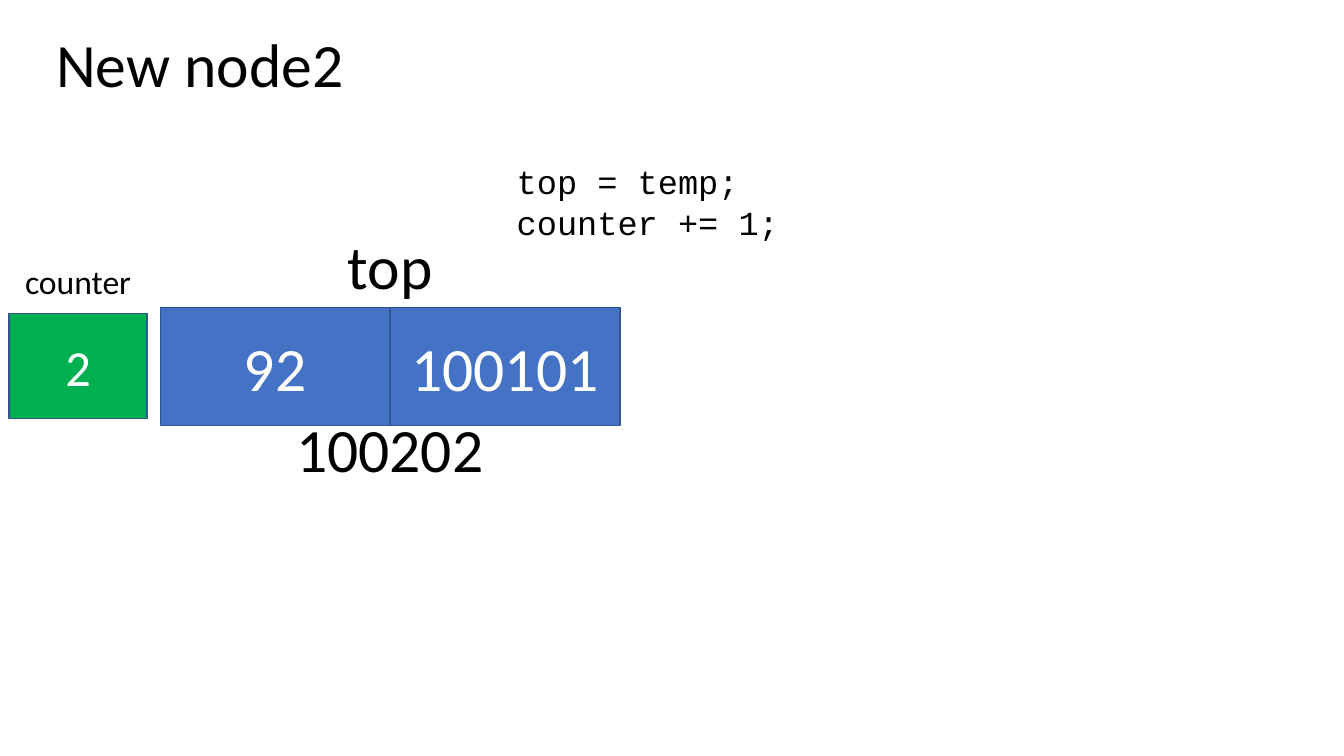
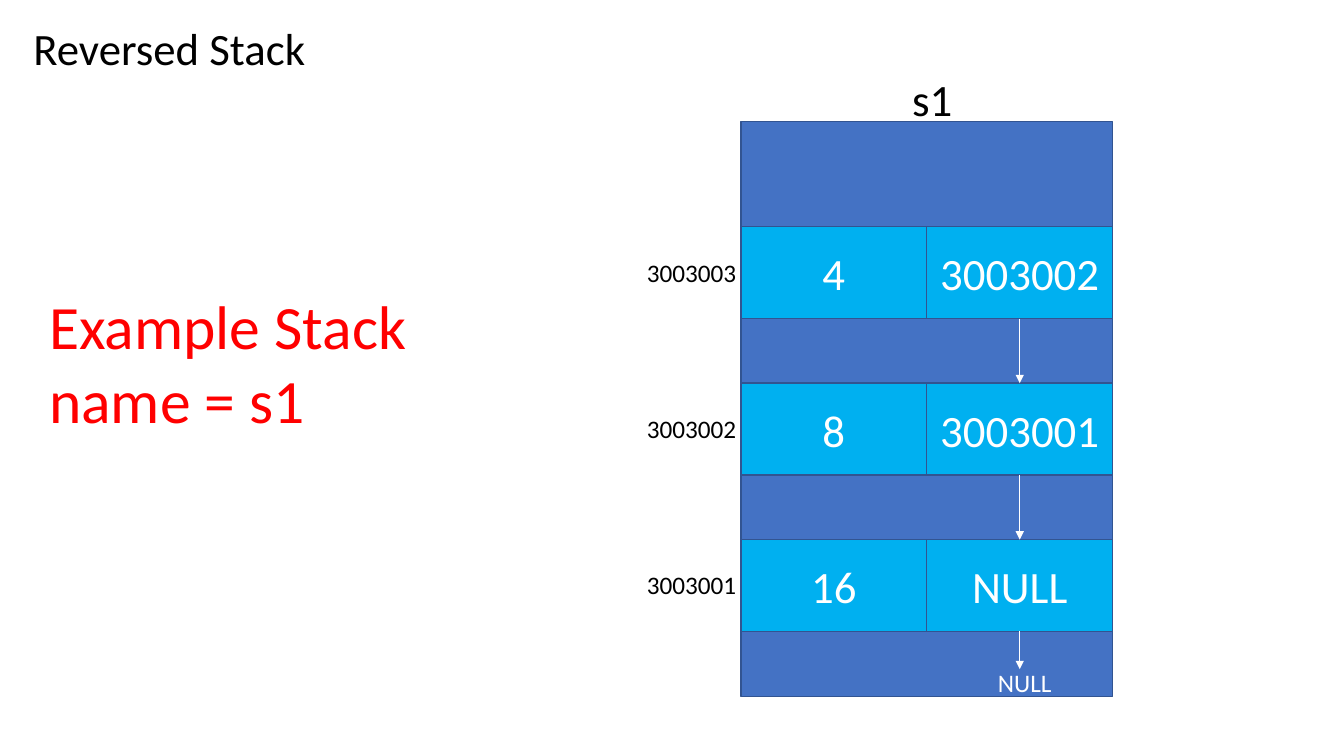
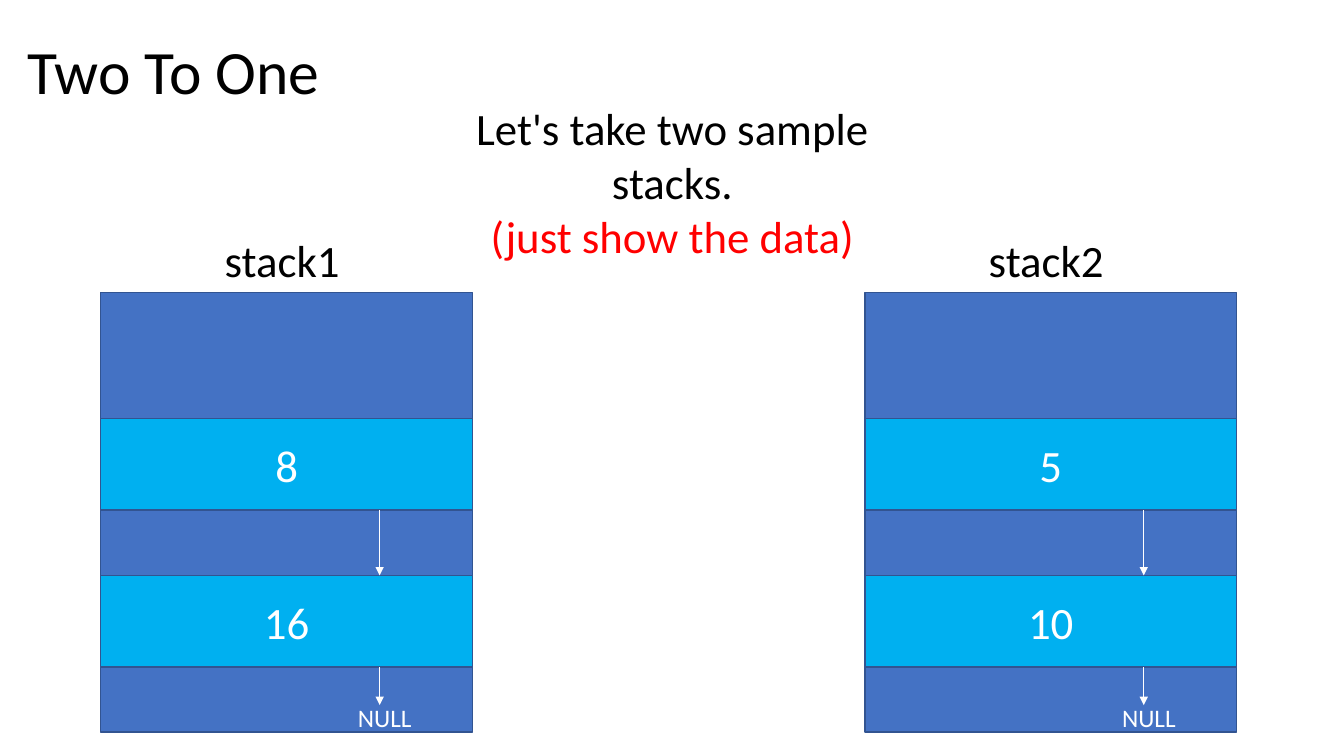
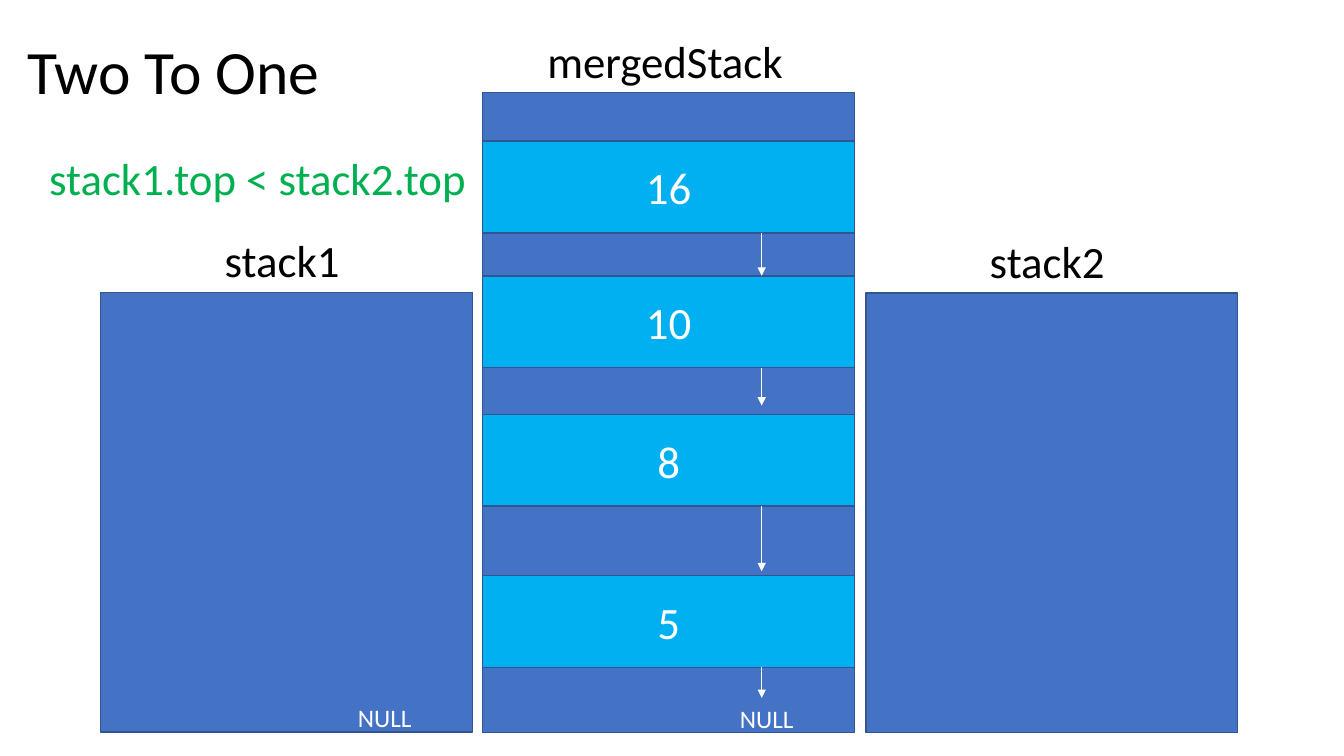
import pptx
import pptx.dml.color
import pptx.enum.shapes
import pptx.enum.text
import pptx.oxml
import pptx.oxml.ns
import pptx.util

Pt = pptx.util.Pt
ALIGN = pptx.enum.text.PP_ALIGN
ANCHOR = pptx.enum.text.MSO_ANCHOR


def colour(value):
    return pptx.dml.color.RGBColor.from_string(value)


class StackDeck:
    """Builds slides of stacks and linked nodes in one shared style."""

    black, white, red, green = "000000", "FFFFFF", "FF0000", "00B050"
    blue, sky, edge = "4472C4", "00B0F0", "325491"
    font = "Calibri"
    code_font = "Courier New"
    stack_width, cell_height = 265.6, 65.6

    def __init__(self):
        self.deck = pptx.Presentation()
        self.deck.slide_width, self.deck.slide_height = Pt(960), Pt(540)
        self.page = None

    def style(self, para, size, ink, font=None, align=ALIGN.LEFT):
        para.alignment = align
        para.line_spacing = 1.0
        para.font.size = Pt(size)
        para.font.name = font or self.font
        para.font.color.rgb = colour(ink)

    def new_page(self, title, left, top, width, size=44):
        self.page = self.deck.slides.add_slide(self.deck.slide_layouts[5])
        box = self.page.shapes.title
        box.left, box.top = Pt(left), Pt(top)
        box.width, box.height = Pt(width), Pt(size * 1.4)
        frame = box.text_frame
        frame.text = title
        frame.vertical_anchor = ANCHOR.TOP
        frame.auto_size = pptx.enum.text.MSO_AUTO_SIZE.NONE
        self.style(frame.paragraphs[0], size, self.black)

    def label(self, text, left, top, width, size=32, ink=black, height=None, **look):
        box = self.page.shapes.add_textbox(
            Pt(left), Pt(top), Pt(width), Pt(height or size * 1.44))
        box.text_frame.word_wrap = True
        para = box.text_frame.paragraphs[0]
        para.text = text
        self.style(para, size, ink, **look)
        return para

    def box(self, left, top, width, height, fill, text="", size=32):
        box = self.page.shapes.add_shape(
            pptx.enum.shapes.MSO_SHAPE.RECTANGLE,
            Pt(left), Pt(top), Pt(width), Pt(height))
        box.shadow.inherit = False
        box.fill.solid()
        box.fill.fore_color.rgb = colour(fill)
        box.line.color.rgb = colour(self.edge)
        box.line.width = Pt(1)
        if text:
            box.text_frame.vertical_anchor = ANCHOR.MIDDLE
            para = box.text_frame.paragraphs[0]
            para.text = text
            self.style(para, size, self.white, align=ALIGN.CENTER)
        return box

    def arrow(self, x, start, end, source=None, target=None):
        line = self.page.shapes.add_connector(
            pptx.enum.shapes.MSO_CONNECTOR.STRAIGHT, Pt(x), Pt(start), Pt(x), Pt(end))
        if source is not None:
            line.begin_connect(source, 2)
        if target is not None:
            line.end_connect(target, 0)
        line.line.color.rgb = colour(self.white)
        line.line.width = Pt(0.5)
        outline = line.line._get_or_add_ln()
        tail = pptx.oxml.parse_xml(
            f'<a:tailEnd {pptx.oxml.ns.nsdecls("a")} type="triangle"/>')
        outline.append(tail)
        outline.addnext(pptx.oxml.parse_xml(
            f'<a:effectLst {pptx.oxml.ns.nsdecls("a")}/>'))

    def stack(self, name, name_offset, left, top, bottom, rows=(), null=True, rise=46):
        """Draws a named stack; each row is (top, cell texts, arrow length)."""
        self.box(left, top, self.stack_width, bottom - top, self.blue)
        self.label(name, left + name_offset, top - rise,
                   self.stack_width - 2 * name_offset + 20)
        drawn = []
        for row_top, texts, _ in rows:
            width = self.stack_width / len(texts)
            drawn.append([
                self.box(left + i * width, row_top, width, self.cell_height, self.sky, text)
                for i, text in enumerate(texts)])
        for i, (row_top, texts, length) in enumerate(rows):
            split = len(texts) > 1
            start = row_top + self.cell_height
            self.arrow(left + 0.75 * self.stack_width, start, start + length,
                       drawn[i][-1] if split else None,
                       drawn[i + 1][-1] if split and i + 1 < len(rows) else None)
        if null:
            self.label("NULL", left + 176.6, bottom - 24.6, 81, 18, self.white)


def main():
    show = StackDeck()

    show.new_page("New node2", 33, 15, 225)
    show.label("top = temp;\ncounter += 1;", 362, 111.6, 418, 24,
               height=65.5, font=show.code_font)
    show.box(6.5, 224, 98.6, 75, show.green, "2", 36)
    show.label("counter", 10.8, 183, 156, 24)
    show.label("top", 241.2, 159, 80, 44)
    for i, text in enumerate(("92", "100101")):
        show.box(114.5 + 164.2 * i, 219.6, 164.2, 84.4, show.blue, text, 44)
    show.label("100202", 204.5, 290.2, 152, 44)

    show.new_page("Reversed Stack", 16.6, 11.5, 226, 32)
    nodes = [("3003003", "4", "3003002"), ("3003002", "8", "3003001"),
             ("3003001", "16", "NULL")]
    pitch = 111.7
    rows = []
    for i, (address, value, link) in enumerate(nodes):
        row_top = 162 + pitch * i
        gap = pitch - show.cell_height if i < len(nodes) - 1 else 27
        rows.append((row_top, (value, link), gap))
        show.label(address, 455, row_top + 18, 82, 18)
    show.stack("s1", 115.2, 529.2, 87, 497.6, rows, rise=39.5)
    show.label("Example Stack\nname = s1", 28, 202.3, 362, 44, show.red, height=114)

    show.new_page("Two To One", 12.2, 20.2, 354)
    note = show.label("Let's take two sample stacks.", 292.3, 68.4, 376,
                      height=163, align=ALIGN.CENTER)
    note.add_line_break()
    span = note.add_run()
    span.text = "(just show the data)"
    span.font.color.rgb = colour(show.red)
    for name, left, values in (("stack1", 72, "8 16"), ("stack2", 617.8, "5 10")):
        upper, lower = values.split()
        show.stack(name, 81.4, left, 208.8, 522.8,
                   [(298.8, (upper,), 46.6), (411, (lower,), 27)])

    show.new_page("Two To One", 12.2, 20.2, 354)
    show.stack("mergedStack", 39, 344.9, 66.2, 523.2,
               [(100.8, ("16",), 30.6), (197.1, ("10",), 27),
                (295.9, ("8",), 46.6), (411.1, ("5",), 21.8)])
    show.label("stack1.top < stack2.top", 28, 104.4, 324, ink=show.green)
    show.stack("stack1", 81.4, 72, 208.8, 522.8)
    show.stack("stack2", 81.4, 618.5, 209.4, 523.4, null=False)

    show.deck.save("out.pptx")


if __name__ == "__main__":
    main()
